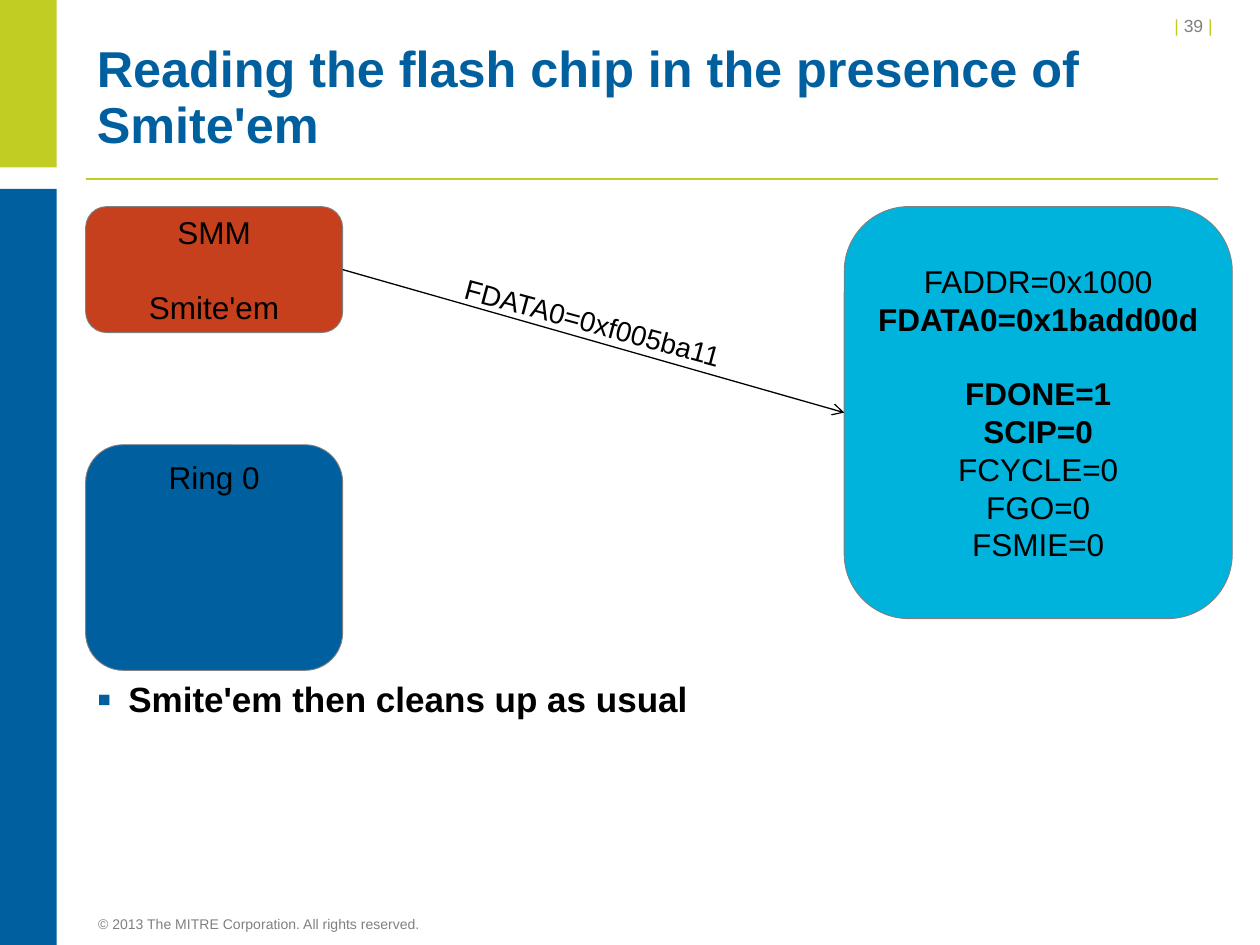
from lxml.etree import SubElement
from pptx import Presentation
from pptx.dml.color import RGBColor
from pptx.enum.shapes import MSO_CONNECTOR as Connector, MSO_SHAPE as Shape
from pptx.enum.text import MSO_ANCHOR as Anchor, MSO_AUTO_SIZE as AutoSize, PP_ALIGN as Align
from pptx.oxml.ns import qn
from pptx.util import Inches, Pt

THEME = {
    "font": "Arial",
    "lime": "C1CD23", "blue": "005F9E", "cyan": "00B3DC", "red": "C6401D",
    "gray": "808080", "black": "000000",
    "title": 28.8, "body": 20, "box": 18, "label": 16, "page": 10, "footer": 8,
}
LINE_GAP = Pt(21)  # one empty line of box text

# Content: a paragraph is (runs, paragraph format), a run is (text, color, bold)
TITLE = "Reading the flash chip in the presence of Smite'em"
BULLET = "Smite'em then cleans up as usual"
FOOTER = "© 2013 The MITRE Corporation. All rights reserved."
PAGE_RUNS = [("| ", "lime", False), ("39 ", "gray", False), ("| ", "lime", False)]
ARROW_LABEL = "FDATA0=0xf005ba11"

# Boxes: place, fill, anchor, top inset, lines as (text, bold, space before)
BOXES = {
    "registers": ((6.7, 1.64, 3.08, 3.27), "cyan", Anchor.MIDDLE, 0.05, [
        ("FADDR=0x1000", False, 0),
        ("FDATA0=0x1badd00d", True, 0),
        ("FDONE=1", True, LINE_GAP),
        ("SCIP=0", True, 0),
        ("FCYCLE=0", False, 0),
        ("FGO=0", False, 0),
        ("FSMIE=0", False, 0),
    ]),
    "smm": ((0.68, 1.64, 2.04, 1), "red", Anchor.MIDDLE, 0.05, [
        ("SMM", False, 0),
        ("Smite'em", False, LINE_GAP),
    ]),
    "ring 0": ((0.68, 3.53, 2.04, 1.79), "blue", Anchor.TOP, 0.02, [
        ("Ring 0", False, 0),
    ]),
}
BARS = [((0, 0, 0.45, 1.33), "lime"), ((0, 1.5, 0.45, 6), "blue")]


def color(name):
    return RGBColor.from_string(THEME[name])


def set_all(target, values):
    for name, value in values.items():
        setattr(target, name, value)


def write(shape, paragraphs, size, **frame_format):
    frame = shape.text_frame
    set_all(frame, {"word_wrap": True, **frame_format})
    for index, (runs, paragraph_format) in enumerate(paragraphs):
        paragraph = frame.add_paragraph() if index else frame.paragraphs[0]
        set_all(paragraph, paragraph_format)
        for text, color_name, bold in runs:
            run = paragraph.add_run()
            run.text = text
            set_all(run.font, {"name": THEME["font"], "size": Pt(THEME[size]), "bold": bold})
            run.font.color.rgb = color(color_name)
    return frame


def add_text(slide, place, paragraphs, size, **frame_format):
    shape = slide.shapes.add_textbox(*map(Inches, place))
    write(shape, paragraphs, size, **frame_format)
    return shape


def add_block(slide, preset, place, fill, outline=None):
    shape = slide.shapes.add_shape(preset, *map(Inches, place))
    shape.shadow.inherit = False
    shape.fill.solid()
    shape.fill.fore_color.rgb = color(fill)
    if outline:
        shape.line.color.rgb = color(outline)
        shape.line.width = Pt(0.5)
    else:
        shape.line.fill.background()
    return shape


def add_line(slide, start, end, color_name, width, arrow=False):
    line = slide.shapes.add_connector(Connector.STRAIGHT, *map(Inches, start + end))
    line.line.color.rgb = color(color_name)
    line.line.width = Pt(width)
    if arrow:
        SubElement(line.line._get_or_add_ln(), qn("a:tailEnd"), type="arrow")
    SubElement(line._element.spPr, qn("a:effectLst"))


def add_bullet(paragraph, indent):
    properties = paragraph._p.get_or_add_pPr()
    properties.set("marL", str(Inches(indent)))
    properties.set("indent", str(-Inches(indent)))
    bullet_color = SubElement(properties, qn("a:buClr"))
    SubElement(bullet_color, qn("a:srgbClr"), val=THEME["blue"])
    SubElement(properties, qn("a:buSzPct"), val="120000")
    SubElement(properties, qn("a:buFont"), typeface=THEME["font"])
    SubElement(properties, qn("a:buChar"), char="▪")


def main():
    presentation = Presentation()
    presentation.slide_width, presentation.slide_height = Inches(10), Inches(7.5)
    slide = presentation.slides.add_slide(presentation.slide_layouts[6])

    # Frame: title rule, side bars and page number
    add_line(slide, (0.68, 1.42), (9.67, 1.42), "lime", 1)
    for place, fill in BARS:
        add_block(slide, Shape.RECTANGLE, place, fill)
    add_text(slide, (8.01, 0.07, 1.75, 0.27),
             [(PAGE_RUNS, {"alignment": Align.RIGHT, "space_after": Pt(6)})], "page")

    # Title, bullet and footer
    add_text(slide, (0.67, 0.3, 9, 0.95),
             [([(TITLE, "blue", True)], {"line_spacing": Pt(32)})], "title",
             vertical_anchor=Anchor.MIDDLE)
    body = add_text(slide, (0.67, 5.33, 9, 1.58),
                    [([(BULLET, "black", True)], {"space_after": Pt(6)})], "body")
    add_bullet(body.text_frame.paragraphs[0], 0.25)
    add_text(slide, (0.68, 7.21, 6.38, 0.24),
             [([(FOOTER, "gray", False)], {"line_spacing": Pt(13)})], "footer",
             vertical_anchor=Anchor.BOTTOM)

    # Memory and register boxes
    for place, fill, anchor, inset, lines in BOXES.values():
        box = add_block(slide, Shape.ROUNDED_RECTANGLE, place, fill, "gray")
        paragraphs = [([(text, "black", bold)],
                       {"alignment": Align.CENTER, "space_before": before})
                      for text, bold, before in lines]
        write(box, paragraphs, "box", vertical_anchor=anchor, margin_top=Inches(inset))

    # Arrow from SMM to the registers, with its slanted label
    left, top, width, height = BOXES["smm"][0]
    target_left, target_top, _, target_height = BOXES["registers"][0]
    add_line(slide, (left + width, top + height / 2),
             (target_left, target_top + target_height / 2), "black", 0.75, arrow=True)
    label = add_text(slide, (3.56, 2.38, 2.32, 0.37),
                     [([(ARROW_LABEL, "black", False)], {"space_after": Pt(6)})], "label",
                     word_wrap=False, auto_size=AutoSize.SHAPE_TO_FIT_TEXT)
    label.rotation = 15.1

    presentation.save("out.pptx")


if __name__ == "__main__":
    main()
